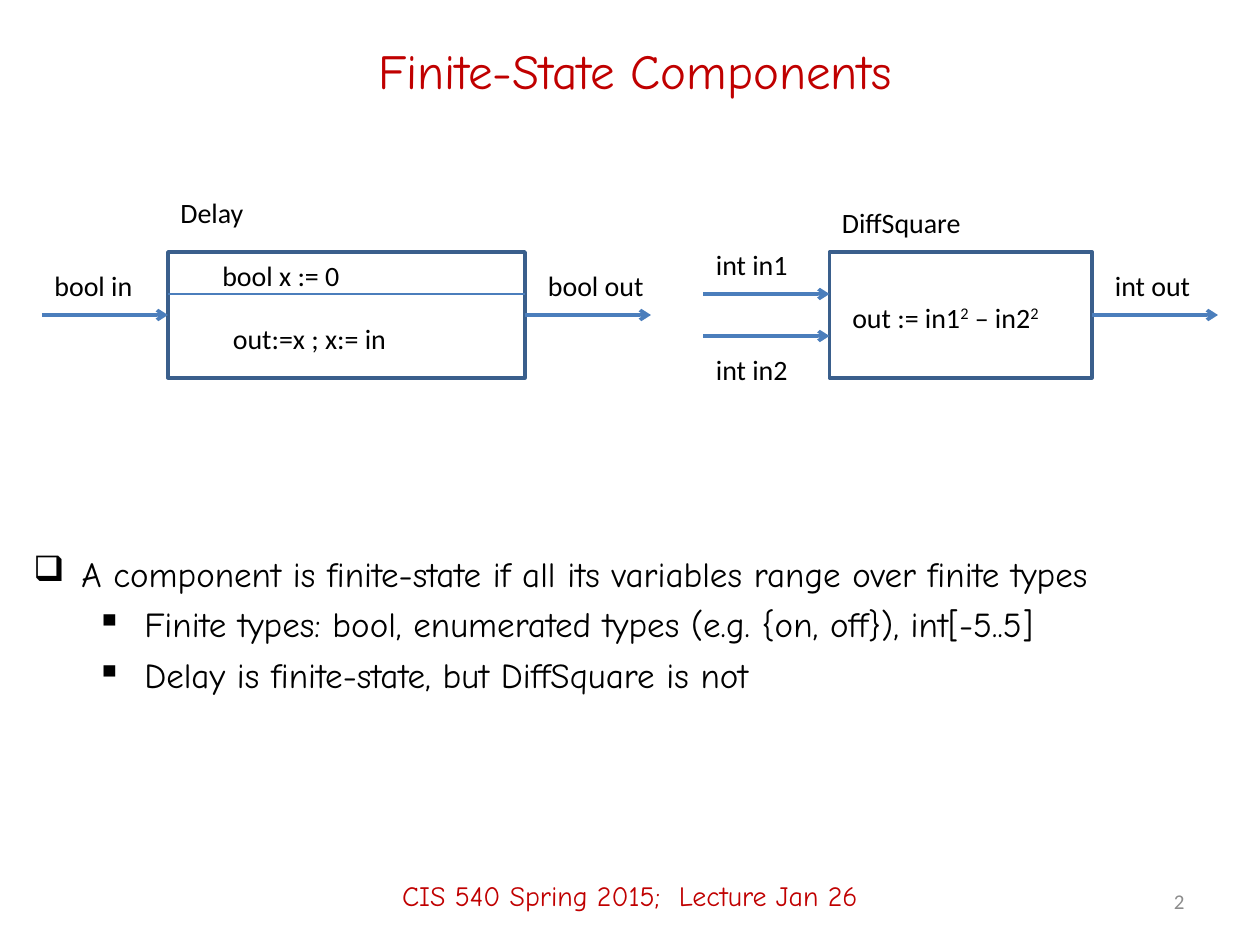
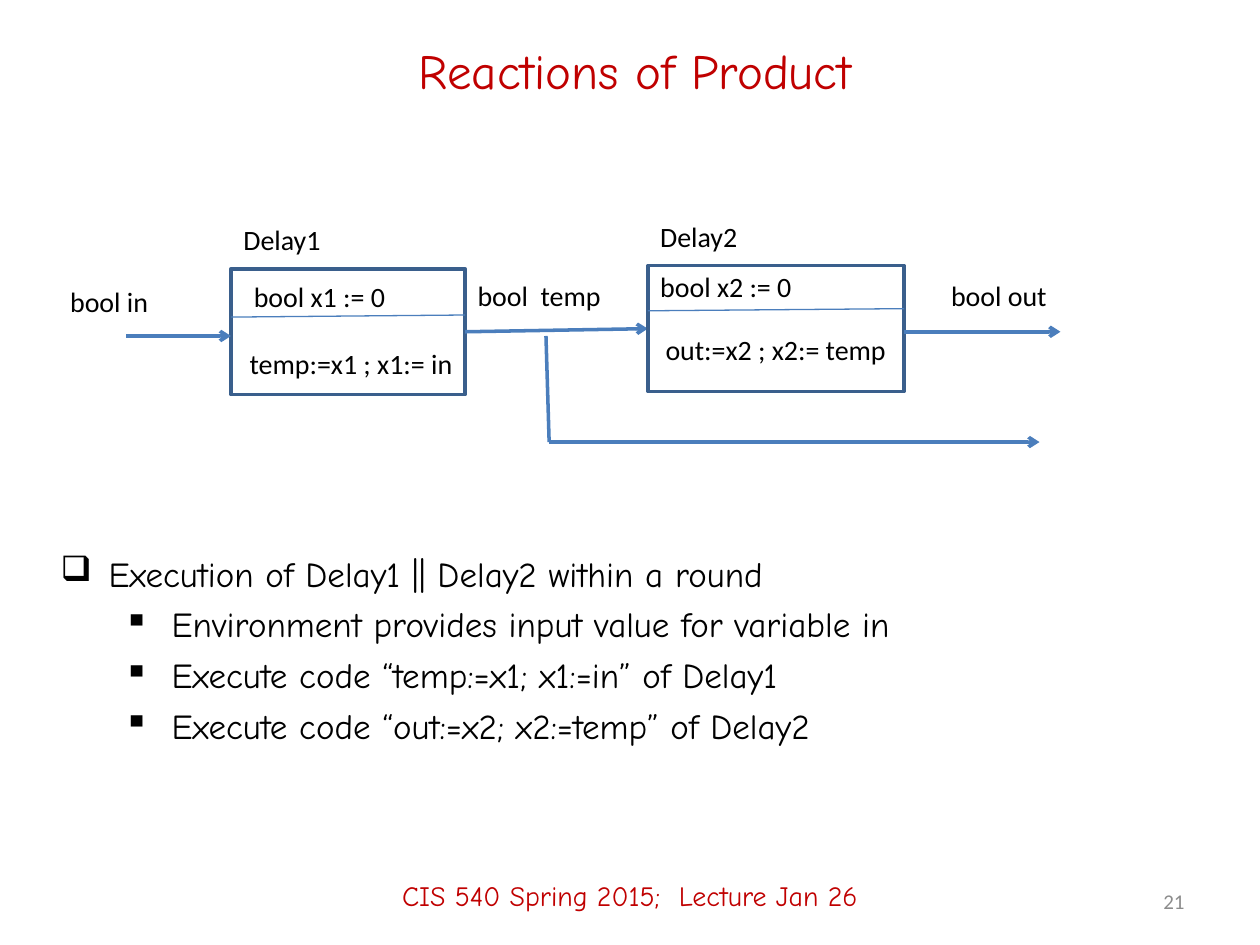
from dataclasses import dataclass

from lxml.etree import SubElement
from pptx import Presentation
from pptx.dml.color import RGBColor
from pptx.enum.shapes import MSO_CONNECTOR, MSO_SHAPE
from pptx.enum.text import MSO_ANCHOR, MSO_AUTO_SIZE, PP_ALIGN
from pptx.oxml.ns import qn
from pptx.util import Inches, Pt


@dataclass(frozen=True)
class Theme:
    accent: str = "C00000"
    ink: str = "000000"
    muted: str = "8C8C8C"
    outline: str = "3A5F8C"
    wire: str = "4B7EBC"
    hand_font: str = "Comic Neue"
    plain_font: str = "Calibri"
    title_size: int = 28
    body_size: int = 20
    label_size: int = 16
    number_size: int = 12
    bullet_gap: int = 5
    thick: float = 2
    thin: float = 0.75


@dataclass(frozen=True)
class Box:
    left: float
    top: float
    width: float
    height: float

    def inner(self, column, row, width, height):
        return Box(self.left + column, self.top + row, width, height)


THEME = Theme()
CELLS_PER_INCH = 12
COLUMNS, ROWS = 120, 90
LABEL_ROWS = 4.4
BAND_ROWS = 9.4
TITLE_BOX = Box(9, 2, 103, BAND_ROWS)
FOOTER_BOX = Box(0, ROWS - BAND_ROWS, COLUMNS, BAND_ROWS)
NUMBER_BOX = Box(86, 83.4, 28, 4.8)
BULLETS = (("❑", 0.38), ("▪", 0.88))
HANGING = 0.38


def cells(count):
    return Inches(count / CELLS_PER_INCH)


def place(box):
    return [cells(length) for length in (box.left, box.top, box.width, box.height)]


def style_run(run, font_name, size, color):
    run.font.name = font_name
    run.font.size = Pt(size)
    run.font.color.rgb = RGBColor.from_string(color)


def add_band(slide, box, text, font_name, size, color, alignment=PP_ALIGN.CENTER):
    text_frame = slide.shapes.add_textbox(*place(box)).text_frame
    text_frame.word_wrap = True
    text_frame.vertical_anchor = MSO_ANCHOR.MIDDLE
    text_frame.text = text
    paragraph = text_frame.paragraphs[0]
    paragraph.alignment = alignment
    style_run(paragraph.runs[0], font_name, size, color)


def add_frame(slide, title, number):
    add_band(slide, TITLE_BOX, title, THEME.hand_font, THEME.title_size, THEME.accent)
    add_band(slide, FOOTER_BOX, "CIS 540 Spring 2015;  Lecture Jan 26",
             THEME.hand_font, THEME.label_size, THEME.accent)
    add_band(slide, NUMBER_BOX, str(number), THEME.plain_font, THEME.number_size,
             THEME.muted, PP_ALIGN.RIGHT)


def add_bullets(slide, box, items):
    text_frame = slide.shapes.add_textbox(*place(box)).text_frame
    text_frame.word_wrap = True
    text_frame.text = "\n".join(text for level, text in items)
    for index, (paragraph, (level, text)) in enumerate(zip(text_frame.paragraphs, items)):
        character, margin = BULLETS[level]
        paragraph.level = level
        if index:
            paragraph.space_before = Pt(THEME.bullet_gap)
        properties = paragraph._p.get_or_add_pPr()
        properties.set("marL", str(Inches(margin)))
        properties.set("indent", str(-Inches(HANGING)))
        SubElement(properties, qn("a:buChar"), char=character)
        style_run(paragraph.runs[0], THEME.hand_font, THEME.body_size, THEME.ink)


def add_label(slide, box, text):
    text_frame = slide.shapes.add_textbox(*place(box)).text_frame
    text_frame.word_wrap = False
    text_frame.auto_size = MSO_AUTO_SIZE.SHAPE_TO_FIT_TEXT
    paragraph = text_frame.paragraphs[0]
    for index, piece in enumerate(text.split("^")):
        if not piece:
            continue
        run = paragraph.add_run()
        run.text = piece
        style_run(run, THEME.plain_font, THEME.label_size, THEME.ink)
        if index % 2:
            run._r.get_or_add_rPr().set("baseline", "30000")


def add_wire(slide, box, ends, width=THEME.thick, arrow=True):
    start_column, start_row, end_column, end_row = ends
    connector = slide.shapes.add_connector(
        MSO_CONNECTOR.STRAIGHT,
        cells(box.left + start_column), cells(box.top + start_row),
        cells(box.left + end_column), cells(box.top + end_row))
    connector.line.color.rgb = RGBColor.from_string(THEME.wire)
    connector.line.width = Pt(width)
    if arrow:
        SubElement(connector.line._get_or_add_ln(), qn("a:tailEnd"), type="arrow")
    SubElement(connector._element.spPr, qn("a:effectLst"))


def add_component(slide, box, labels, wires, divider=None):
    block = slide.shapes.add_shape(MSO_SHAPE.RECTANGLE, *place(box))
    block.shadow.inherit = False
    block.fill.background()
    block.line.color.rgb = RGBColor.from_string(THEME.outline)
    block.line.width = Pt(THEME.thick)
    if divider:
        left_row, right_row = divider
        add_wire(slide, box, (0, left_row, box.width, right_row), THEME.thin, arrow=False)
    for ends in wires:
        add_wire(slide, box, ends)
    for text, column, row, width in labels:
        add_label(slide, box.inner(column, row, width, LABEL_ROWS), text)


def add_branch(slide, box, lean):
    add_wire(slide, box, (0, 0, lean, box.height), arrow=False)
    add_wire(slide, box, (lean, box.height, box.width, box.height))


def build_finite_state(slide):
    add_frame(slide, "Finite-State Components", 2)
    add_component(
        slide, Box(16, 24, 34, 12),
        labels=[("Delay", 0, -6, 8.5), ("bool in", -12, 1, 10),
                ("bool x := 0", 4, 0, 13.7), ("out:=x ; x:= in", 5, 6, 17.2),
                ("bool out", 35, 1, 11.6)],
        wires=[(-12, 6, 0, 6), (34, 6, 46, 6)],
        divider=(4, 4))
    add_component(
        slide, Box(79, 24, 25, 12),
        labels=[("DiffSquare", 0, -5, 13.9), ("int in1", -12, -1, 9.4),
                ("int in2", -12, 9, 9.4), ("out := in1^2^ – in2^2", 1, 4, 20.6),
                ("int out", 26, 1, 9.7)],
        wires=[(-12, 4, 0, 4), (-12, 8, 0, 8), (25, 6, 37, 6)])
    add_bullets(slide, Box(2, 52, 116, 14), [
        (0, "A component is finite-state if all its variables range over finite types"),
        (1, "Finite types: bool, enumerated types (e.g. {on, off}), int[-5..5]"),
        (1, "Delay is finite-state, but DiffSquare is not")])


def build_product(slide):
    add_frame(slide, "Reactions of Product", 21)
    add_component(
        slide, Box(22, 25.6, 22.3, 12),
        labels=[("Delay1", 0, -5, 9.8), ("bool in", -16.5, 0.9, 10),
                ("bool x1 := 0", 1, 0.4, 15.1), ("temp:=x1 ; x1:= in", 0.6, 6.8, 22),
                ("bool  temp", 22.3, 0.3, 14.3)],
        wires=[(-10, 6.4, 0, 6.4), (22.3, 6, 39.7, 5.7)],
        divider=(4.6, 4.4))
    add_component(
        slide, Box(61.7, 25.3, 24.4, 12),
        labels=[("Delay2", 0, -5, 9.8), ("bool x2 := 0", 0, -0.2, 15.1),
                ("out:=x2 ; x2:= temp", 0.5, 5.8, 23.6), ("bool out", 27.7, 0.6, 11.6)],
        wires=[(24.4, 6.3, 39.3, 6.3)],
        divider=(4.3, 4.1))
    add_branch(slide, Box(52, 32, 47, 10.1), lean=0.3)
    add_bullets(slide, Box(4.6, 52, 111, 24), [
        (0, "Execution of Delay1 || Delay2 within a round"),
        (1, "Environment provides input value for variable in"),
        (1, "Execute code “temp:=x1; x1:=in” of Delay1"),
        (1, "Execute code “out:=x2; x2:=temp” of Delay2")])


def main():
    presentation = Presentation()
    presentation.slide_width = cells(COLUMNS)
    presentation.slide_height = cells(ROWS)
    blank_layout = presentation.slide_layouts[6]
    for build in (build_finite_state, build_product):
        build(presentation.slides.add_slide(blank_layout))
    presentation.save("out.pptx")


if __name__ == "__main__":
    main()
